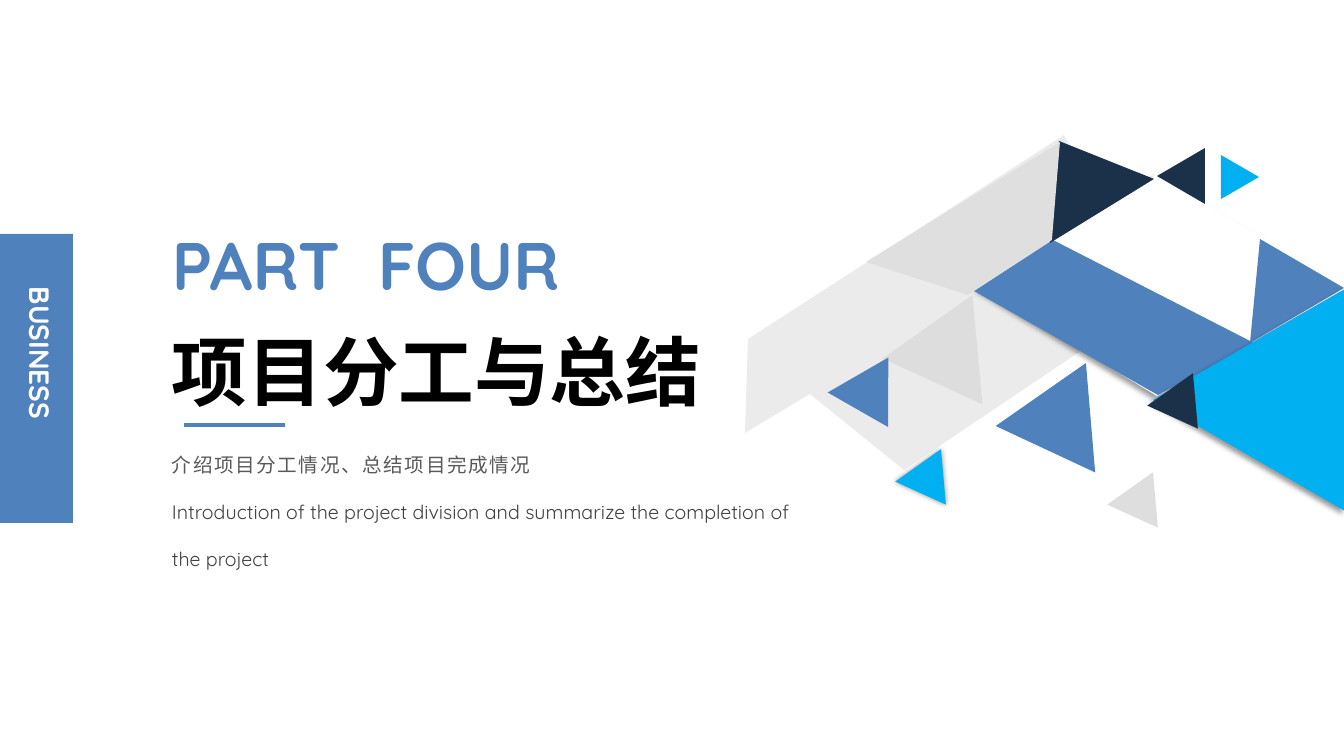
from lxml.etree import SubElement
from pptx import Presentation
from pptx.dml.color import RGBColor
from pptx.enum.shapes import MSO_CONNECTOR, MSO_SHAPE
from pptx.enum.text import MSO_AUTO_SIZE, PP_ALIGN
from pptx.oxml.ns import qn
from pptx.util import Emu, Pt

EMU_PER_PX = 914400 / 100.8
LATIN, CHINESE = "Quicksand", "Noto Sans CJK SC"
BLUE, CYAN, NAVY = "4F81BD", "00B0F0", "1B3049"
WHITE, BLACK, SILVER = "FFFFFF", "000000", "DFDFDF"


def px(length):
    return Emu(round(length * EMU_PER_PX))


def color(value):
    return RGBColor.from_string(value)


class SlideArtist:
    """Draws styled elements on the current slide, with lengths in px."""

    def __init__(self, page):
        self.page = page

    def finish(self, shape, fill, opacity=100, shadow=None):
        shape.fill.solid()
        shape.fill.fore_color.rgb = color(fill)
        shape.line.fill.background()
        shape.shadow.inherit = False
        properties = shape._element.spPr
        if opacity < 100:
            tone = properties.find(qn("a:solidFill")).find(qn("a:srgbClr"))
            SubElement(tone, qn("a:alpha"), val=str(opacity * 1000))
        if shadow:
            distance, angle = shadow
            outer = SubElement(
                properties.find(qn("a:effectLst")), qn("a:outerShdw"),
                blurRad=str(Pt(4)), dist=str(Pt(distance)),
                dir=str(angle * 60000), rotWithShape="0")
            tone = SubElement(outer, qn("a:srgbClr"), val=BLACK)
            SubElement(tone, qn("a:alpha"), val="40000")

    def preset(self, kind, place, fill, rotation=0, **style):
        shape = self.page.shapes.add_shape(kind, *map(px, place))
        shape.rotation = rotation
        self.finish(shape, fill, **style)

    def triangle(self, place, fill, rotation, **style):
        self.preset(MSO_SHAPE.ISOSCELES_TRIANGLE, place, fill, rotation, **style)

    def polygon(self, points, fill, **style):
        builder = self.page.shapes.build_freeform(*points[0], scale=EMU_PER_PX)
        builder.add_line_segments(points[1:], close=True)
        self.finish(builder.convert_to_shape(), fill, **style)

    def rule(self, start, end, stroke, width):
        line = self.page.shapes.add_connector(
            MSO_CONNECTOR.STRAIGHT, *map(px, start + end))
        line.line.color.rgb = color(stroke)
        line.line.width = Pt(width)
        SubElement(line._element.spPr, qn("a:effectLst"))

    def text_box(self, place, vertical=False):
        box = self.page.shapes.add_textbox(*map(px, place))
        frame = box.text_frame
        frame.word_wrap = True
        frame.auto_size = MSO_AUTO_SIZE.SHAPE_TO_FIT_TEXT
        if vertical:
            frame._txBody.bodyPr.set("vert", "eaVert")
        return frame

    def set_text(self, para, text, size, face, ink, bold=False, align=None,
                 line_spacing=None, tracking=0, tab=None):
        para.text = text
        para.alignment = align
        para.line_spacing = line_spacing
        if tab:
            stops = SubElement(para._p.get_or_add_pPr(), qn("a:tabLst"))
            SubElement(stops, qn("a:tab"), pos=str(px(tab)), algn="l")
        font = para.font
        font.size = Pt(size)
        font.name = face
        font.bold = bold
        font.color.rgb = color(ink)
        defaults = para._p.pPr.find(qn("a:defRPr"))
        defaults.set("spc", str(tracking))
        SubElement(defaults, qn("a:ea"), typeface=face)


def draw_texts(artist):
    artist.preset(MSO_SHAPE.RECTANGLE, (0, 234, 73, 289), BLUE)
    label = artist.text_box((8, 277, 54, 216), vertical=True)
    artist.set_text(label.paragraphs[0], "BUSINESS", 20, LATIN, WHITE, bold=True,
                    align=PP_ALIGN.JUSTIFY)
    part = artist.text_box((162, 218, 479, 92))
    artist.set_text(part.paragraphs[0], "PART\tFOUR", 48, LATIN, BLUE, bold=True, tab=206)
    title = artist.text_box((162, 320, 563, 102))
    artist.set_text(title.paragraphs[0], "项目分工与总结", 54, CHINESE, BLACK, bold=True)
    summary = artist.text_box((162, 424, 662, 152))
    artist.set_text(summary.paragraphs[0], "介绍项目分工情况、总结项目完成情况",
                    14, CHINESE, "595959", line_spacing=2, tracking=110)
    artist.set_text(summary.add_paragraph(),
                    "Introduction of the project division and summarize "
                    "the completion of the project",
                    14, LATIN, "404040", line_spacing=2)
    artist.rule((184, 425), (285, 425), BLUE, 3.25)


def draw_mosaic(artist):
    artist.polygon([(904, 470), (810, 394), (745, 433), (748, 339), (1064, 135),
                    (1149, 305)], SILVER, opacity=60)
    artist.triangle((900, 318, 110, 95), "D9D9D9", 144.7, opacity=73)
    artist.triangle((904, 461, 56, 48), CYAN, 144.7, shadow=(0, 50))
    artist.triangle((1116, 484, 56, 48), "DEDEDE", 144.7)
    artist.polygon([(978, 288), (1157, 174), (1345, 289), (1157, 396)], WHITE,
                   shadow=(3, 135))
    artist.polygon([(1158, 395), (974, 291), (1053, 240), (1256, 344)], BLUE)
    artist.polygon([(1250, 343), (1260, 239), (1344, 288)], BLUE)
    artist.triangle((1138, 304, 222, 192), CYAN, 270, shadow=(3, 135))
    artist.triangle((1156, 385, 56, 48), NAVY, 144.7)
    artist.triangle((1153, 152, 56, 48), NAVY, 270)
    artist.triangle((1218, 158, 44, 38), CYAN, 90)
    artist.polygon([(1050, 243), (1059, 141), (1154, 179)], NAVY)
    artist.polygon([(1060, 142), (1052, 240), (968, 295), (866, 262)], SILVER)
    artist.triangle((1013, 386, 110, 95), BLUE, 145.1)
    artist.triangle((838, 371, 70, 60), BLUE, 150)


def main():
    deck = Presentation()
    deck.slide_width, deck.slide_height = px(1344), px(756)
    artist = SlideArtist(deck.slides.add_slide(deck.slide_layouts[6]))
    draw_texts(artist)
    draw_mosaic(artist)
    deck.save("out.pptx")


if __name__ == "__main__":
    main()
